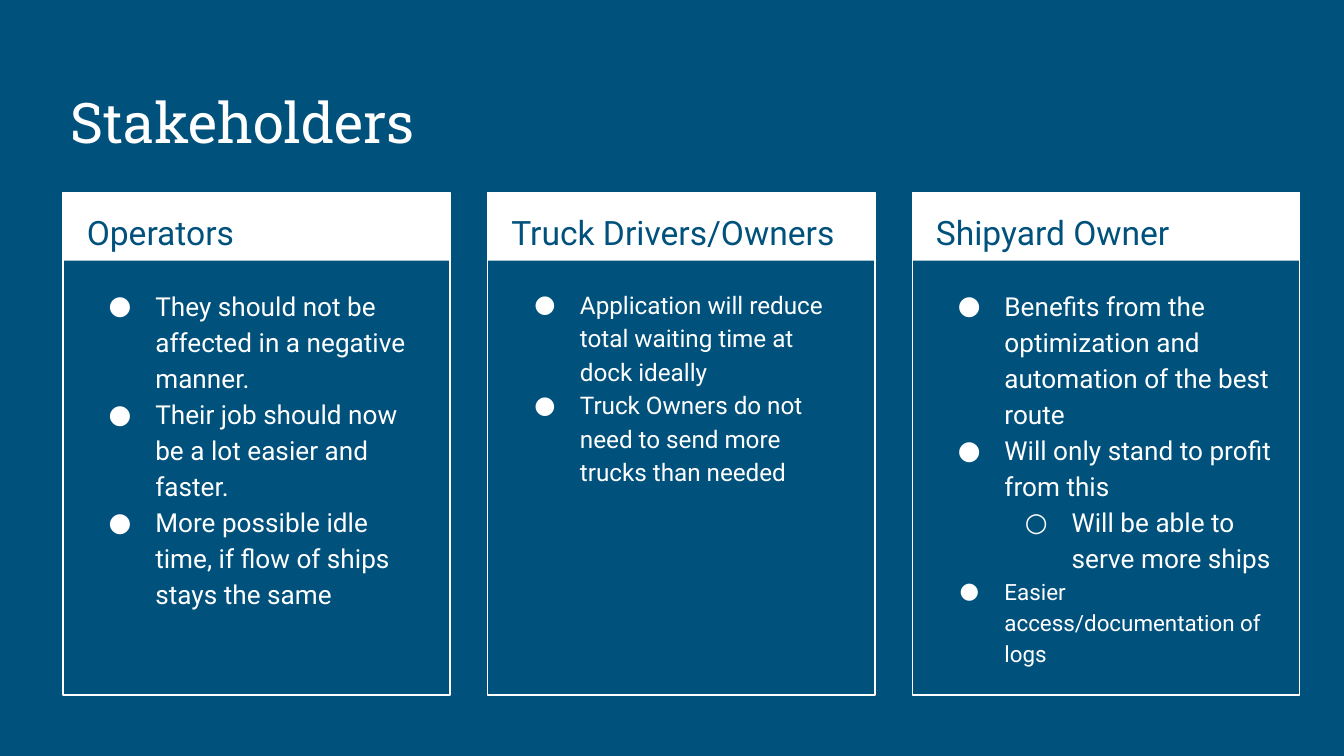
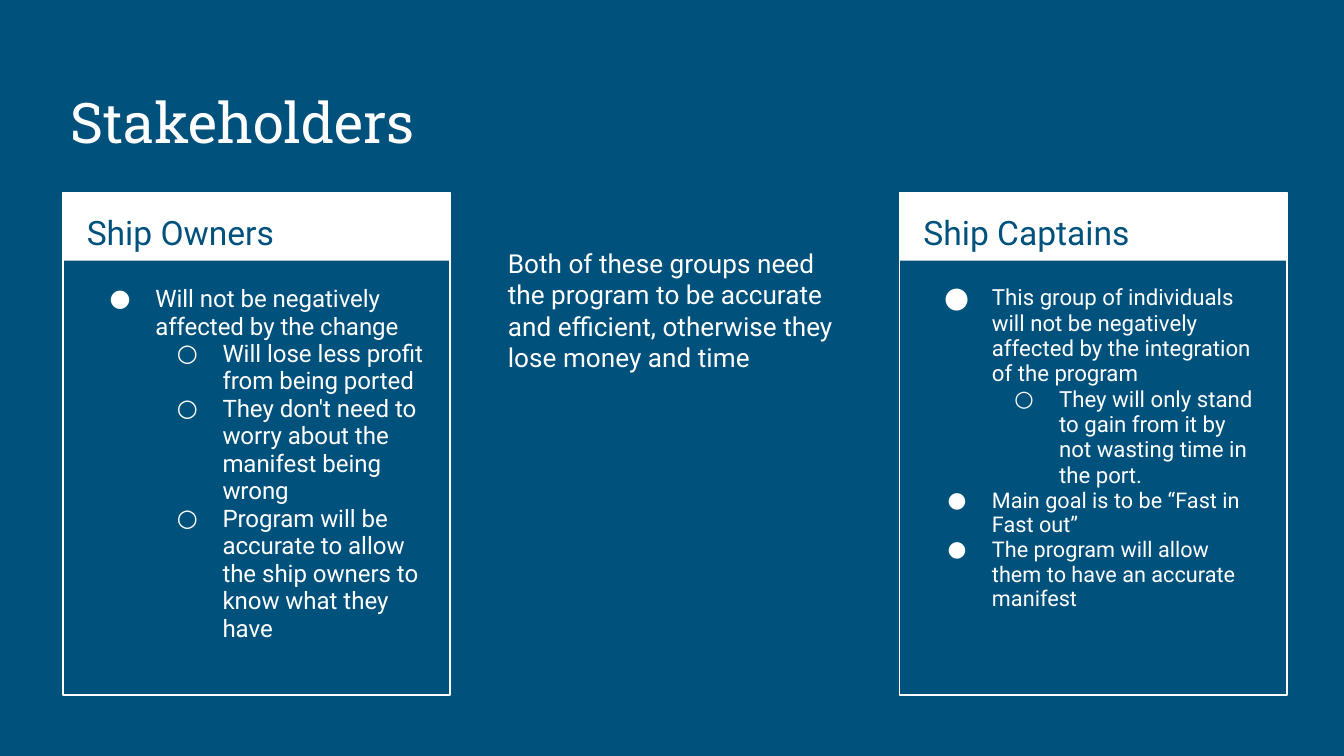
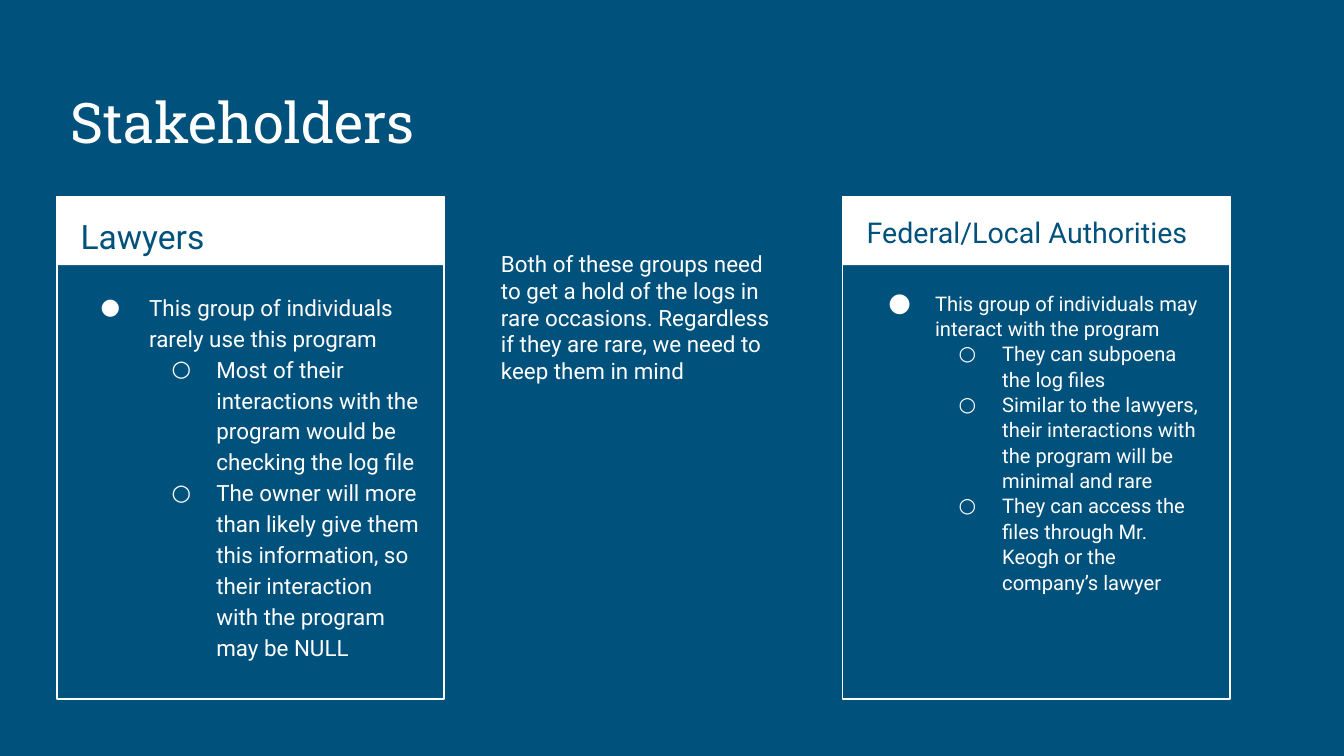
from dataclasses import dataclass
from typing import Optional

from lxml.etree import SubElement
from pptx import Presentation
from pptx.dml.color import RGBColor
from pptx.enum.shapes import MSO_SHAPE as Preset
from pptx.enum.text import MSO_ANCHOR as Anchor, MSO_AUTO_SIZE as AutoSize, PP_ALIGN as Align
from pptx.oxml.ns import qn
from pptx.util import Pt

# Shared style
COLORS = {"navy": "00517C", "white": "FFFFFF"}
BODY_FONT, TITLE_FONT = "Roboto", "Roboto Slab"
COMPARISON_LAYOUT = 4
BULLETS = "●○"
CARD_WIDTH, CARD_HEIGHT, BAND_HEIGHT = 207.4, 269.3, 36.7
CARD_LEFT, CARD_TOP, CARD_STEP = 33.8, 103, 227.5


@dataclass
class Item:
    text: str
    size: float
    level: int = 0
    bullet_percent: int = 100
    hanging: Optional[float] = None


@dataclass
class Card:
    heading: str
    items: list
    line_spacing: float = 1.15
    heading_size: float = 18


def color(name):
    return RGBColor.from_string(COLORS[name])


def place(shape, left, top, width, height):
    shape.left, shape.top = Pt(left), Pt(top)
    shape.width, shape.height = Pt(width), Pt(height)


def prepare_frame(shape, anchor=Anchor.TOP):
    frame = shape.text_frame
    frame.word_wrap = True
    frame.auto_size = AutoSize.NONE
    frame.vertical_anchor = anchor
    frame.margin_left = frame.margin_right = Pt(7.2)
    frame.margin_top = frame.margin_bottom = Pt(7.2)
    return frame


def write(paragraph, text, size, color_name="white", font=BODY_FONT, line_spacing=1.0):
    paragraph.alignment = Align.LEFT
    paragraph.line_spacing = line_spacing
    paragraph.space_before = paragraph.space_after = Pt(0)
    run = paragraph.add_run()
    run.text = text
    run.font.name, run.font.size, run.font.bold = font, Pt(size), False
    run.font.color.rgb = color(color_name)


def set_indent(paragraph, margin, first_line):
    properties = paragraph._p.get_or_add_pPr()
    properties.set("marL", str(Pt(margin)))
    properties.set("indent", str(Pt(first_line)))
    return properties


def remove_bullet(paragraph):
    SubElement(set_indent(paragraph, 0, 0), qn("a:buNone"))


def add_bullet(paragraph, item):
    paragraph.level = item.level
    hanging = item.hanging or 18 + item.size * item.bullet_percent / 200
    properties = set_indent(paragraph, 36 * (item.level + 1), -hanging)
    bullet_color = SubElement(properties, qn("a:buClr"))
    SubElement(bullet_color, qn("a:srgbClr"), val=COLORS["white"])
    SubElement(properties, qn("a:buSzPct"), val=str(item.bullet_percent * 1000))
    SubElement(properties, qn("a:buFont"), typeface=BODY_FONT)
    SubElement(properties, qn("a:buChar"), char=BULLETS[item.level])


def add_rectangle(group, left, top, height, filled):
    rectangle = group.shapes.add_shape(
        Preset.RECTANGLE, Pt(left), Pt(top), Pt(CARD_WIDTH), Pt(height))
    rectangle.shadow.inherit = False
    if filled:
        rectangle.fill.solid()
        rectangle.fill.fore_color.rgb = color("white")
        rectangle.line.fill.background()
    else:
        rectangle.fill.background()
        rectangle.line.color.rgb = color("white")
        rectangle.line.width = Pt(0.75)


def next_text_shape(slide, placeholders):
    """Take a free body placeholder, brought to the front, or else a text box."""
    if not placeholders:
        return slide.shapes.add_textbox(0, 0, 0, 0)
    shape = placeholders.pop(0)
    shape.element.getparent().append(shape.element)
    return shape


def add_card(slide, placeholders, card, left, top=CARD_TOP):
    # Band and frame
    group = slide.shapes.add_group_shape()
    add_rectangle(group, left, top, BAND_HEIGHT, filled=True)
    add_rectangle(group, left, top, CARD_HEIGHT, filled=False)

    # Heading
    heading = next_text_shape(slide, placeholders)
    place(heading, left + 5.5, top, 196.5, 36)
    paragraph = prepare_frame(heading).paragraphs[0]
    write(paragraph, card.heading, card.heading_size, "navy", line_spacing=1.15)
    remove_bullet(paragraph)

    # List
    body = next_text_shape(slide, placeholders)
    place(body, left + 6.2, top + 42.8, 195, 220.3)
    frame = prepare_frame(body)
    for index, item in enumerate(card.items):
        paragraph = frame.add_paragraph() if index else frame.paragraphs[0]
        write(paragraph, item.text, item.size, line_spacing=card.line_spacing)
        add_bullet(paragraph, item)


def add_note(slide, text, size, left, top, width, height):
    note = slide.shapes.add_textbox(Pt(left), Pt(top), Pt(width), Pt(height))
    write(prepare_frame(note).paragraphs[0], text, size)


def add_stakeholder_slide(presentation):
    slide = presentation.slides.add_slide(presentation.slide_layouts[COMPARISON_LAYOUT])
    title = slide.shapes.title
    place(title, 30.5, 36, 659, 54)
    write(prepare_frame(title, Anchor.BOTTOM).paragraphs[0], "Stakeholders", 30, font=TITLE_FONT)
    placeholders = [shape for shape in slide.placeholders if shape.placeholder_format.idx > 0]
    return slide, placeholders


def main():
    presentation = Presentation()
    presentation.slide_width, presentation.slide_height = Pt(720), Pt(405)
    background = presentation.slide_master.background.fill
    background.solid()
    background.fore_color.rgb = color("navy")

    # Slide 1: port staff, drivers and shipyard
    slide, placeholders = add_stakeholder_slide(presentation)
    cards = [
        Card("Operators", [
            Item("They should not be affected in a negative manner.", 14),
            Item("Their job should now be a lot easier and faster.", 14),
            Item("More possible idle time, if flow of ships stays the same", 14),
        ]),
        Card("Truck Drivers/Owners", [
            Item("Application will reduce total waiting time at dock ideally", 13),
            Item("Truck Owners do not need to send more trucks than needed", 13),
        ]),
        Card("Shipyard Owner", [
            Item("Benefits from the optimization and automation of the best route", 14),
            Item("Will only stand to profit from this", 14),
            Item("Will be able to serve more ships", 14, level=1),
            Item("Easier access/documentation of logs", 12),
        ]),
    ]
    for index, card in enumerate(cards):
        add_card(slide, placeholders, card, CARD_LEFT + index * CARD_STEP)

    # Slide 2: ship owners and captains
    slide, placeholders = add_stakeholder_slide(presentation)
    add_card(slide, placeholders, Card("Ship Owners", [
        Item("Will not be negatively affected by the change", 12.9),
        Item("Will lose less profit from being ported", 12.9, level=1),
        Item("They don't need to worry about the manifest being wrong", 12.9, level=1),
        Item("Program will be accurate to allow the ship owners to know what they have",
             12.9, level=1),
    ], line_spacing=0.95), CARD_LEFT)
    add_card(slide, placeholders, Card("Ship Captains", [
        Item("This group of individuals will not be negatively affected by the "
             "integration of the program", 11.9, bullet_percent=129),
        Item("They will only stand to gain from it by not wasting time in the port.",
             11.9, level=1),
        Item("Main goal is to be “Fast in Fast out”", 11.6),
        Item("The program will allow them to have an accurate manifest", 11.6),
    ], line_spacing=0.95), 482)
    add_note(slide, "Both of these groups need the program to be accurate and efficient, "
             "otherwise they lose money and time", 14, 265, 125.3, 196.5, 77)

    # Slide 3: lawyers and authorities
    slide, placeholders = add_stakeholder_slide(presentation)
    add_card(slide, placeholders, Card("Lawyers", [
        Item("This group of individuals rarely use this program", 12, hanging=26),
        Item("Most of their interactions with the program would be checking the log file",
             12, level=1),
        Item("The owner will more than likely give them this information, so their "
             "interaction with the program may be NULL", 12, level=1),
    ]), 30.5, 105.3)
    add_card(slide, placeholders, Card("Federal/Local Authorities", [
        Item("This group of individuals may interact with the program", 10.8,
             bullet_percent=129),
        Item("They can subpoena the log files", 10.8, level=1),
        Item("Similar to the lawyers, their interactions with the program will be "
             "minimal and rare", 10.8, level=1),
        Item("They can access the files through Mr. Keogh or the company’s lawyer",
             10.8, level=1),
    ], line_spacing=1.05, heading_size=15.3), 451.5, 105.3)
    add_note(slide, "Both of these groups need to get a hold of the logs in rare occasions. "
             "Regardless if they are rare, we need to keep them in mind",
             12, 261.3, 126.7, 167, 80)

    presentation.save("out.pptx")


if __name__ == "__main__":
    main()
